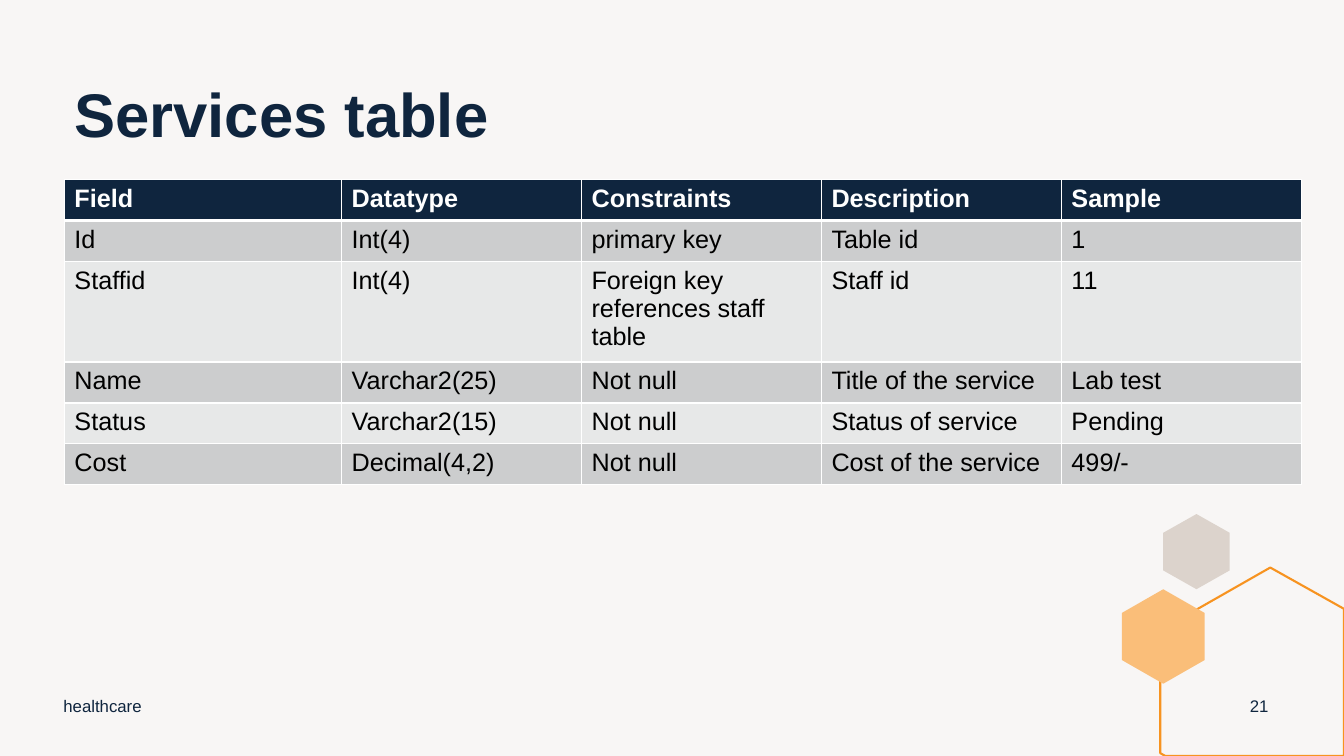
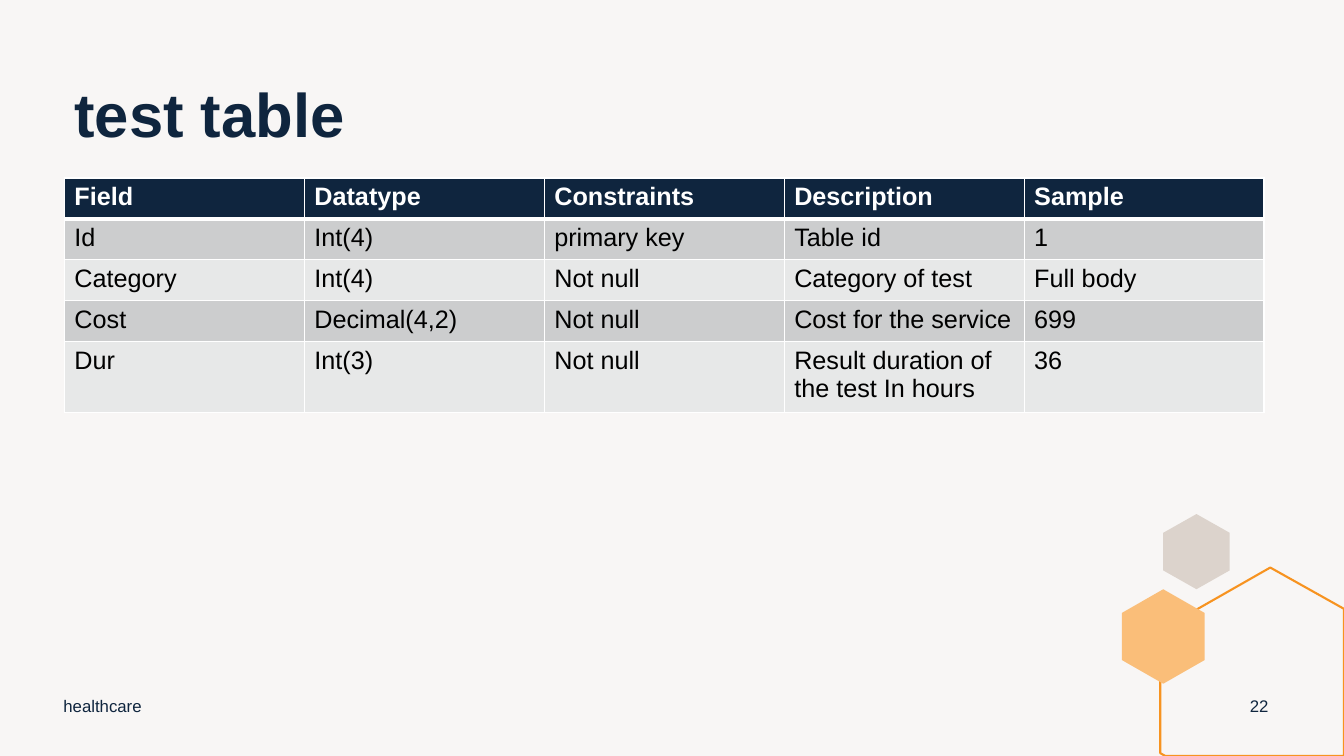
from lxml import etree
from pptx import Presentation
from pptx.dml.color import RGBColor
from pptx.enum.text import MSO_ANCHOR, PP_ALIGN
from pptx.oxml.ns import qn
from pptx.util import Pt

TOP, MIDDLE = MSO_ANCHOR.TOP, MSO_ANCHOR.MIDDLE
LEFT, CENTER = PP_ALIGN.LEFT, PP_ALIGN.CENTER

FONT = "Arial"
NAVY, WHITE, BLACK = "0F253E", "FFFFFF", "000000"
BACKGROUND, TAUPE = "F8F6F5", "DCD3CC"
ORANGE, PEACH = "F79320", "FABE79"
BANDS = ("CCCDCE", "E7E8E8")

PAGE_WIDTH, PAGE_HEIGHT = 960, 540
ROW_HEIGHT = 29.2
COLUMN_WIDTH = 171.4
HEADINGS = ("Field", "Datatype", "Constraints", "Description", "Sample")

SERVICES = (
    ("Id", "Int(4)", "primary key", "Table id", "1"),
    ("Staffid", "Int(4)", "Foreign key references staff table", "Staff id", "11"),
    ("Name", "Varchar2(25)", "Not null", "Title of the service", "Lab test"),
    ("Status", "Varchar2(15)", "Not null", "Status of service", "Pending"),
    ("Cost", "Decimal(4,2)", "Not null", "Cost of the service", "499/-"),
)
TESTS = (
    ("Id", "Int(4)", "primary key", "Table id", "1"),
    ("Category", "Int(4)", "Not null", "Category of test", "Full body"),
    ("Cost", "Decimal(4,2)", "Not null", "Cost for the service", "699"),
    ("Dur", "Int(3)", "Not null", "Result duration of the test In hours", "36"),
)


def paint(target, color):
    target.solid()
    target.fore_color.rgb = RGBColor.from_string(color)


def write(frame, text, size=18, color=NAVY, bold=False, align=LEFT, spacing=None):
    para = frame.paragraphs[0]
    para.alignment = align
    if spacing:
        para.line_spacing = spacing
    span = para.add_run()
    span.text = text
    span.font.name = FONT
    span.font.size = Pt(size)
    span.font.bold = bold
    span.font.color.rgb = RGBColor.from_string(color)


def add_text(page, bounds, text, anchor=MIDDLE, **style):
    frame = page.shapes.add_textbox(*map(Pt, bounds)).text_frame
    frame.word_wrap = True
    frame.vertical_anchor = anchor
    write(frame, text, **style)


def add_outline(page, points, fill=None, line=None):
    first, *rest = [(Pt(x), Pt(y)) for x, y in points]
    builder = page.shapes.build_freeform(*first)
    builder.add_line_segments(rest, close=True)
    shape = builder.convert_to_shape()
    shape.shadow.inherit = False
    if fill:
        paint(shape.fill, fill)
    else:
        shape.fill.background()
    if line:
        paint(shape.line.fill, line)
        shape.line.width = Pt(1.5)
    else:
        shape.line.fill.background()


def add_hexagon(page, left, top, width, height, color):
    middle, right = left + width / 2, left + width
    upper, lower = top + height / 4, top + height * 3 / 4
    points = ((middle, top), (right, upper), (right, lower),
              (middle, top + height), (left, lower), (left, upper))
    add_outline(page, points, fill=color)


def add_corner(page, left, top):
    add_hexagon(page, left + 29.5, top, 47.5, 53.7, TAUPE)
    add_outline(page, (
        (left + 106, top + 38.2), (PAGE_WIDTH, top + 67.7),
        (PAGE_WIDTH, PAGE_HEIGHT), (left + 31, PAGE_HEIGHT),
        (left + 27.4, PAGE_HEIGHT - 2), (left + 27.4, top + 83),
    ), line=ORANGE)
    add_hexagon(page, left, top + 53.7, 59, 67.5, PEACH)


def add_footer(page, left, top, number):
    add_text(page, (left, top, 324, 28.8), "healthcare", size=12)
    add_text(page, (left + 843.2, top, 36, 28.8), str(number), size=12, align=CENTER)


def add_border(cell, side, width):
    properties = cell._tc.get_or_add_tcPr()
    line = etree.SubElement(properties, qn(f"a:ln{side}"), w=str(Pt(width)))
    fill = etree.SubElement(line, qn("a:solidFill"))
    etree.SubElement(fill, qn("a:srgbClr"), val=WHITE)


def add_field_table(page, left, top, rows, first_width):
    widths = [first_width] + [COLUMN_WIDTH] * (len(HEADINGS) - 1)
    lines = (HEADINGS, *rows)
    table = page.shapes.add_table(
        len(lines), len(widths), Pt(left), Pt(top),
        Pt(sum(widths)), Pt(ROW_HEIGHT * len(lines))).table
    table.horz_banding = False
    for column, width in zip(table.columns, widths):
        column.width = Pt(width)
    for index, values in enumerate(lines):
        heading = index == 0
        table.rows[index].height = Pt(ROW_HEIGHT)
        for column, text in enumerate(values):
            cell = table.cell(index, column)
            for side in "LRTB":
                thick = (index, side) in ((0, "B"), (1, "T"))
                add_border(cell, side, 3 if thick else 1)
            paint(cell.fill, NAVY if heading else BANDS[(index - 1) % 2])
            write(cell.text_frame, text, color=WHITE if heading else BLACK, bold=heading)


def add_table_page(deck, number, title, rows, table_top, first_width=COLUMN_WIDTH):
    page = deck.slides.add_slide(deck.slide_layouts[6])
    paint(page.background.fill, BACKGROUND)
    add_corner(page, 801.4, 367.2)
    add_text(page, (46, 57, 857.5, 111.6), title, anchor=TOP,
             size=44, bold=True, spacing=0.9)
    add_field_table(page, 46, table_top, rows, first_width)
    add_footer(page, 38.2, 489.6, number)


def main():
    deck = Presentation()
    deck.slide_width, deck.slide_height = Pt(PAGE_WIDTH), Pt(PAGE_HEIGHT)
    add_table_page(deck, 21, "Services table", SERVICES, 128.2, first_width=198)
    add_table_page(deck, 22, "test table", TESTS, 127.2)
    deck.save("out.pptx")


if __name__ == "__main__":
    main()
